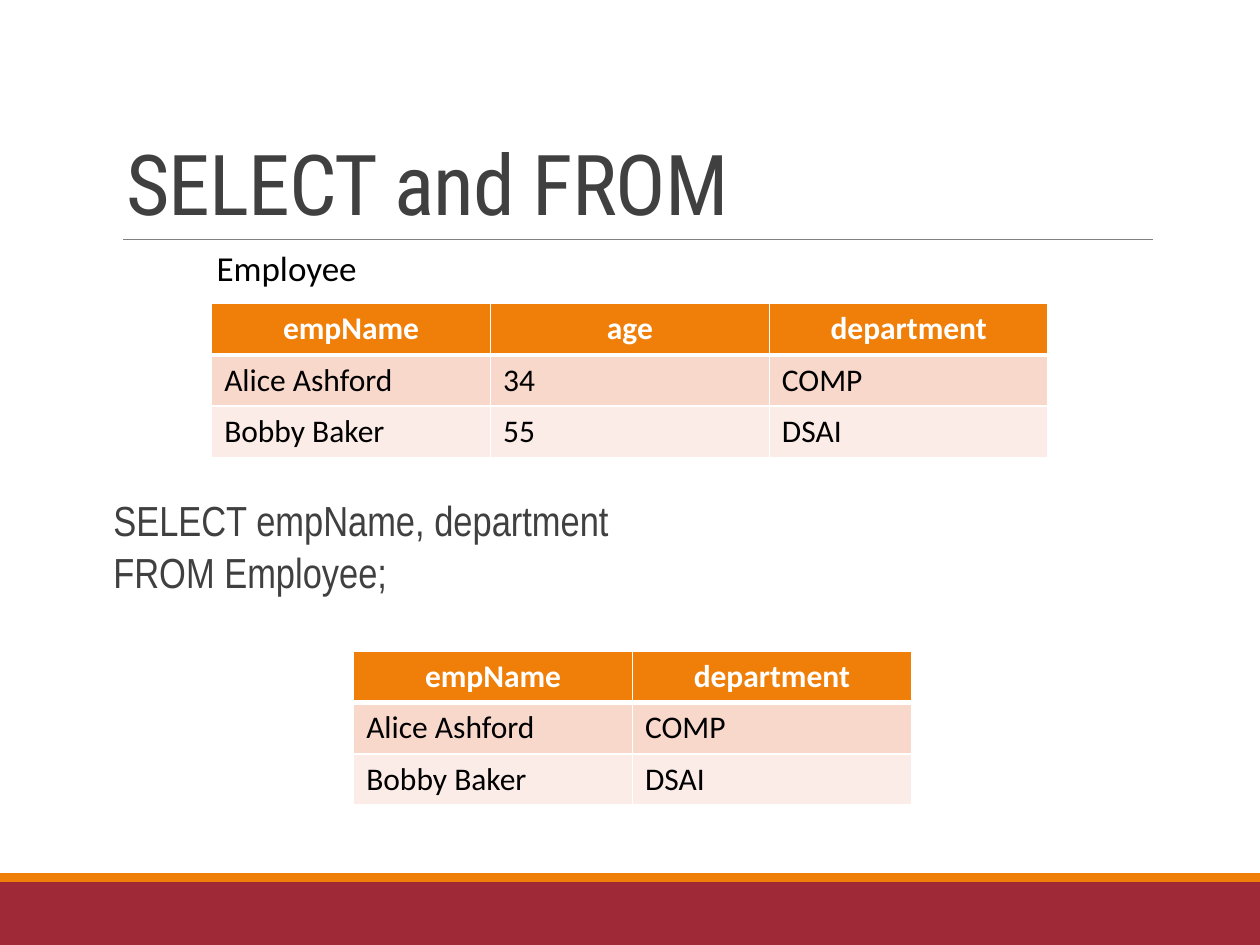
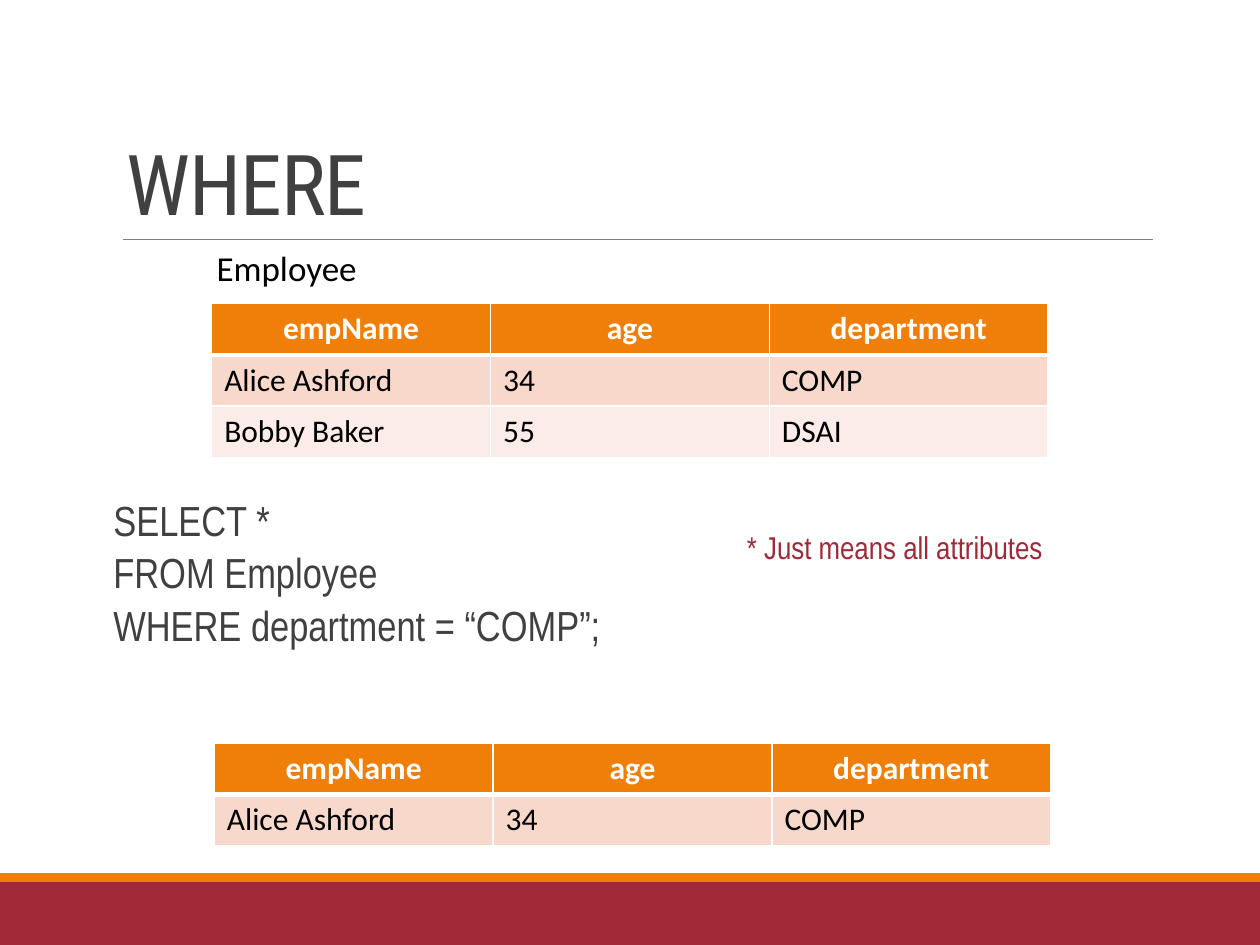
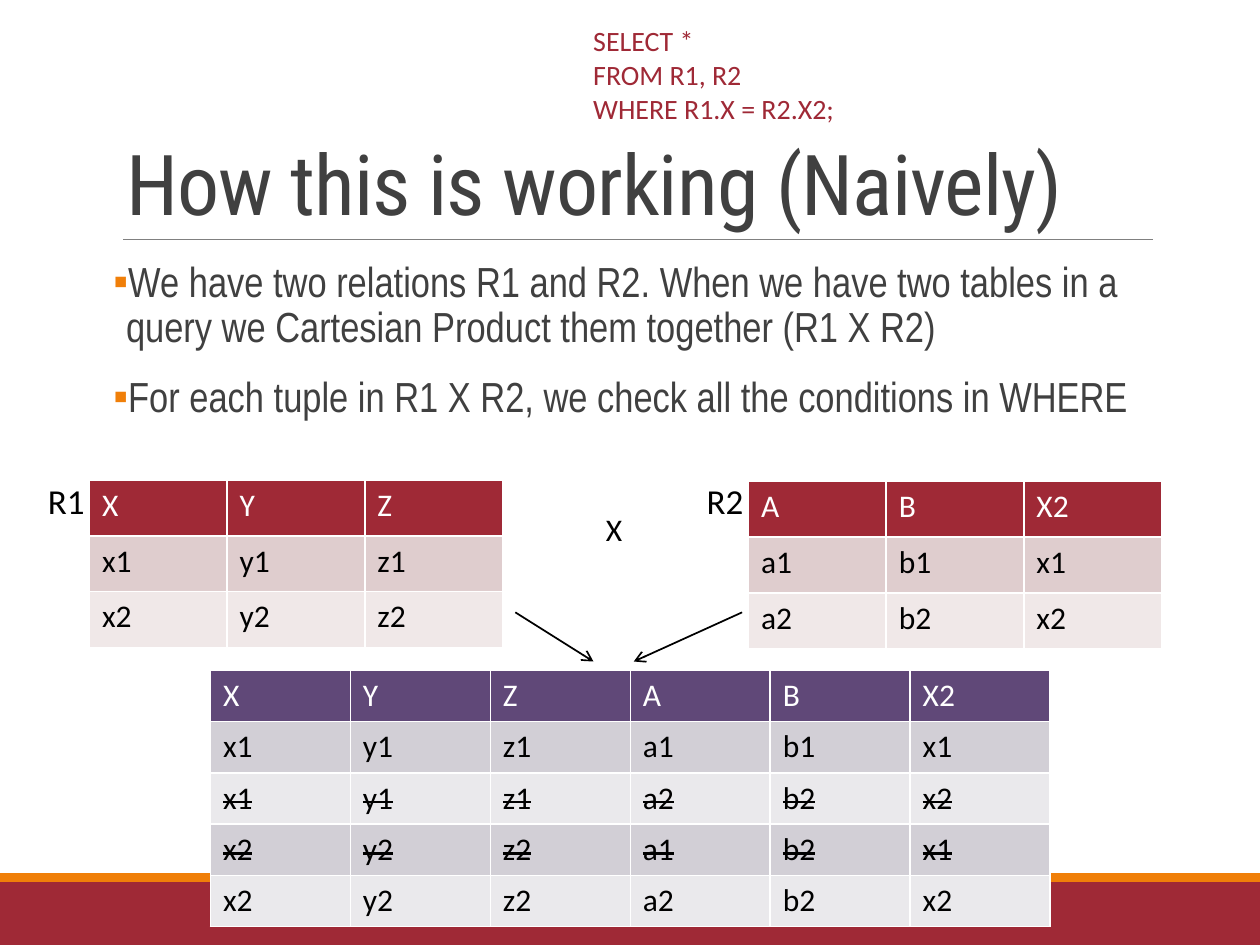
import lxml.etree
import pptx
import pptx.dml.color
import pptx.enum.shapes
import pptx.enum.text
import pptx.oxml
import pptx.oxml.ns
import pptx.util

RGB = pptx.dml.color.RGBColor
ALIGN = pptx.enum.text.PP_ALIGN
ANCHOR = pptx.enum.text.MSO_ANCHOR
AUTO_SIZE = pptx.enum.text.MSO_AUTO_SIZE
Pt = pptx.util.Pt

WHITE = RGB(0xFF, 0xFF, 0xFF)
BLACK = RGB(0x00, 0x00, 0x00)
CHARCOAL = RGB(0x40, 0x40, 0x40)
GREY = RGB(0x80, 0x80, 0x80)
RED = RGB(0x9F, 0x29, 0x36)
ORANGE = RGB(0xF0, 0x7F, 0x09)

# Each palette holds the header fill and the two alternating row fills.
ORANGE_TABLE = (ORANGE, RGB(0xF9, 0xD8, 0xCC), RGB(0xFC, 0xEC, 0xE7))
RED_TABLE = (RED, RGB(0xDF, 0xCD, 0xCE), RGB(0xF0, 0xE8, 0xE8))
PURPLE_TABLE = (RGB(0x60, 0x48, 0x78), RGB(0xD2, 0xCF, 0xD6), RGB(0xEA, 0xE9, 0xEC))

TITLE_FONT = {"name": "Roboto Condensed", "size": Pt(48)}
BODY_FONT = {"name": "Arial Narrow", "size": Pt(24)}
NOTE_FONT = {"name": "Arial Narrow", "size": Pt(18)}
LABEL_FONT = {"name": "Calibri", "size": Pt(20)}
CELL_FONT = {"name": "Calibri", "size": Pt(18), "bold": False}
HEADER_FONT = {**CELL_FONT, "bold": True}
QUERY_FONT = {"name": "Calibri", "size": Pt(16)}

SLIDE_WIDTH, SLIDE_HEIGHT = pptx.util.Inches(10), pptx.util.Inches(7.5)
COLUMN, ROW = SLIDE_WIDTH / 100, SLIDE_HEIGHT / 75

EMPLOYEE_HEADER = ["empName", "age", "department"]
EMPLOYEES = [["Alice Ashford", "34", "COMP"], ["Bobby Baker", "55", "DSAI"]]
EMPLOYEE_COLUMN, EMPLOYEE_ROW = 22.13, 4.07


def grid(left, top, width, height):
    """Turn grid columns and rows into slide lengths."""
    return (round(left * COLUMN), round(top * ROW),
            round(width * COLUMN), round(height * ROW))


def apply_format(target, values):
    for name, value in values.items():
        setattr(target, name, value)


def write_lines(frame, lines, font, color, **paragraph_format):
    """Fill a text frame with one paragraph per line and return the paragraphs."""
    for index, line in enumerate(lines):
        paragraph = frame.add_paragraph() if index else frame.paragraphs[0]
        apply_format(paragraph, paragraph_format)
        run = paragraph.add_run()
        run.text = line
        apply_format(run.font, font)
        run.font.color.rgb = color
    return frame.paragraphs


def place(shape, box):
    apply_format(shape, dict(zip(("left", "top", "width", "height"), box)))


def add_text(slide, box, lines, font, color, wrap=True, anchor=ANCHOR.TOP, **paragraph_format):
    frame = slide.shapes.add_textbox(*box).text_frame
    apply_format(frame, {"word_wrap": wrap, "auto_size": AUTO_SIZE.SHAPE_TO_FIT_TEXT,
                         "vertical_anchor": anchor})
    write_lines(frame, lines, font, color, **paragraph_format)


def add_label(slide, box, text):
    add_text(slide, box, [text], LABEL_FONT, BLACK, wrap=False,
             anchor=ANCHOR.MIDDLE, alignment=ALIGN.CENTER)


def add_line(slide, start, end, color, width, arrow=False):
    begin_x, begin_y, end_x, end_y = grid(*start, *end)
    line = slide.shapes.add_connector(
        pptx.enum.shapes.MSO_CONNECTOR.STRAIGHT, begin_x, begin_y, end_x, end_y)
    line.line.color.rgb = color
    line.line.width = Pt(width)
    if arrow:
        head = lxml.etree.SubElement(line.line._get_or_add_ln(), pptx.oxml.ns.qn("a:tailEnd"))
        head.set("type", "arrow")
    lxml.etree.SubElement(line._element.spPr, pptx.oxml.ns.qn("a:effectLst"))


def add_band(slide, box, color):
    band = slide.shapes.add_shape(pptx.enum.shapes.MSO_SHAPE.RECTANGLE, *box)
    band.shadow.inherit = False
    band.fill.solid()
    band.fill.fore_color.rgb = color
    band.line.fill.background()


def set_borders(cell, widths):
    """Give a cell white borders; widths are left, right, top and bottom in points."""
    properties = cell._tc.get_or_add_tcPr()
    for index, (side, width) in enumerate(zip("LRTB", widths)):
        border = pptx.oxml.parse_xml(
            f'<a:ln{side} {pptx.oxml.ns.nsdecls("a")} w="{Pt(width)}">'
            f'<a:solidFill><a:srgbClr val="{WHITE}"/></a:solidFill></a:ln{side}>')
        properties.insert(index, border)


def add_table(slide, left, top, column, row, rows, palette, header_font=CELL_FONT,
              header_align=ALIGN.LEFT, header_rule=1, struck=()):
    """Draw a striped table of equal columns and rows; struck lists crossed-out rows."""
    columns = len(rows[0])
    box = grid(left, top, column * columns, row * len(rows))
    table = slide.shapes.add_table(len(rows), columns, *box).table
    header_fill, *stripes = palette
    for row_index, values in enumerate(rows):
        is_header = row_index == 0
        fill = header_fill if is_header else stripes[(row_index - 1) % 2]
        font = header_font if is_header else CELL_FONT
        color = WHITE if is_header else BLACK
        align = header_align if is_header else ALIGN.LEFT
        above = header_rule if row_index == 1 else 1
        below = header_rule if is_header else 1
        for column_index, value in enumerate(values):
            cell = table.cell(row_index, column_index)
            cell.fill.solid()
            cell.fill.fore_color.rgb = fill
            set_borders(cell, (1, 1, above, below))
            paragraph, = write_lines(cell.text_frame, [value], font, color, alignment=align)
            if row_index in struck:
                paragraph.runs[0]._r.get_or_add_rPr().set("strike", "sngStrike")


def add_employee_table(slide, left, top, rows):
    add_table(slide, left, top, EMPLOYEE_COLUMN, EMPLOYEE_ROW, rows, ORANGE_TABLE,
              HEADER_FONT, ALIGN.CENTER, header_rule=3)


def set_bullet(paragraph, bulleted):
    properties = paragraph._p.get_or_add_pPr()
    indent = pptx.util.Inches(0.1) if bulleted else 0
    properties.set("marL", str(indent))
    properties.set("indent", str(-indent))
    if bulleted:
        color = lxml.etree.SubElement(properties, pptx.oxml.ns.qn("a:buClr"))
        lxml.etree.SubElement(color, pptx.oxml.ns.qn("a:srgbClr")).set("val", str(ORANGE))
        lxml.etree.SubElement(properties, pptx.oxml.ns.qn("a:buChar")).set("char", "▪")
    else:
        lxml.etree.SubElement(properties, pptx.oxml.ns.qn("a:buNone"))


def fill_body(slide, box, lines, space_before, bulleted=False):
    body = slide.placeholders[1]
    place(body, box)
    frame = body.text_frame
    apply_format(frame, {"margin_left": 0, "margin_right": 0, "word_wrap": True,
                         "auto_size": AUTO_SIZE.NONE, "vertical_anchor": ANCHOR.TOP})
    paragraphs = write_lines(frame, lines, BODY_FONT, CHARCOAL)
    for index, paragraph in enumerate(paragraphs):
        set_bullet(paragraph, bulleted)
        apply_format(paragraph, {"line_spacing": 0.9, "space_after": Pt(2),
                                 "space_before": Pt(space_before if index else 0)})


def add_titled_slide(presentation, title):
    """Add a slide with the shared title, title rule and bottom bands."""
    slide = presentation.slides.add_slide(presentation.slide_layouts[1])
    add_band(slide, grid(0, 70, 100, 5), RED)
    add_band(slide, grid(0, 69.3, 100, 0.7), ORANGE)
    add_line(slide, (9.8, 19), (91.5, 19), GREY, 0.5)
    place(slide.shapes.title, grid(9, 3.1, 82.5, 15.9))
    frame = slide.shapes.title.text_frame
    apply_format(frame, {"word_wrap": True, "auto_size": AUTO_SIZE.NONE,
                         "vertical_anchor": ANCHOR.BOTTOM})
    paragraph, = write_lines(frame, [title], TITLE_FONT, CHARCOAL,
                             alignment=ALIGN.LEFT, line_spacing=0.85)
    paragraph.runs[0]._r.get_or_add_rPr().set("spc", "-50")
    return slide


def add_query_slide(presentation, title, query, result, result_top):
    """Show the employee table, a query on it and its centred result."""
    slide = add_titled_slide(presentation, title)
    fill_body(slide, grid(9, 39.2, 82.5, 24.9), query, space_before=2)
    add_label(slide, grid(15.5, 19, 14.5, 4.4), "Employee")
    add_employee_table(slide, 16.8, 24.1, [EMPLOYEE_HEADER, *EMPLOYEES])
    result_left = 50.2 - EMPLOYEE_COLUMN * len(result[0]) / 2
    add_employee_table(slide, result_left, result_top, result)
    return slide


def add_relation(slide, name, left, top, rows):
    add_table(slide, left, top, 10.93, 4.43, rows, RED_TABLE)
    add_label(slide, grid(left - 4.3, 37.5, 4.9, 4.4), name)


def add_product_slide(presentation):
    slide = add_titled_slide(presentation, "How this is working (Naively)")
    fill_body(slide, grid(9, 20.2, 85.9, 44), [
        "We have two relations R1 and R2. When we have two tables in a query we "
        "Cartesian Product them together (R1 X R2)",
        "For each tuple in R1 X R2, we check all the conditions in WHERE",
    ], space_before=12, bulleted=True)
    add_relation(slide, "R1", 7.1, 38.1,
                 [["X", "Y", "Z"], ["x1", "y1", "z1"], ["x2", "y2", "z2"]])
    add_relation(slide, "R2", 59.4, 38.2,
                 [["A", "B", "X2"], ["a1", "b1", "x1"], ["a2", "b2", "x2"]])
    add_text(slide, grid(47.1, 40, 5, 6.4), ["X"], CELL_FONT, BLACK, wrap=False)
    add_table(slide, 16.7, 53.2, 11.11, EMPLOYEE_ROW, [
        ["X", "Y", "Z", "A", "B", "X2"],
        ["x1", "y1", "z1", "a1", "b1", "x1"],
        ["x1", "y1", "z1", "a2", "b2", "x2"],
        ["x2", "y2", "z2", "a1", "b2", "x1"],
        ["x2", "y2", "z2", "a2", "b2", "x2"],
    ], PURPLE_TABLE, struck=(2, 3))
    for start, end in ((40.9, 47.1), (58.9, 50.3)):
        add_line(slide, (start, 48.6), (end, 52.5), BLACK, 1, arrow=True)
    add_text(slide, grid(46.1, 1.4, 53.9, 12.1),
             ["SELECT *", "FROM R1, R2", "WHERE R1.X = R2.X2;"], QUERY_FONT, RED)


def main():
    presentation = pptx.Presentation()
    presentation.slide_width, presentation.slide_height = SLIDE_WIDTH, SLIDE_HEIGHT
    names_and_departments = [[name, department] for name, _, department
                             in [EMPLOYEE_HEADER, *EMPLOYEES]]
    add_query_slide(presentation, "SELECT and FROM",
                    ["SELECT empName, department", "FROM Employee;"],
                    names_and_departments, result_top=51.7)
    where_slide = add_query_slide(
        presentation, "WHERE",
        ["SELECT *", "FROM Employee", "WHERE department = “COMP”;"],
        [EMPLOYEE_HEADER, EMPLOYEES[0]], result_top=59)
    add_text(where_slide, grid(58.3, 41.4, 32.7, 4),
             ["* Just means all attributes"], NOTE_FONT, RED)
    add_product_slide(presentation)
    presentation.save("out.pptx")


if __name__ == "__main__":
    main()
